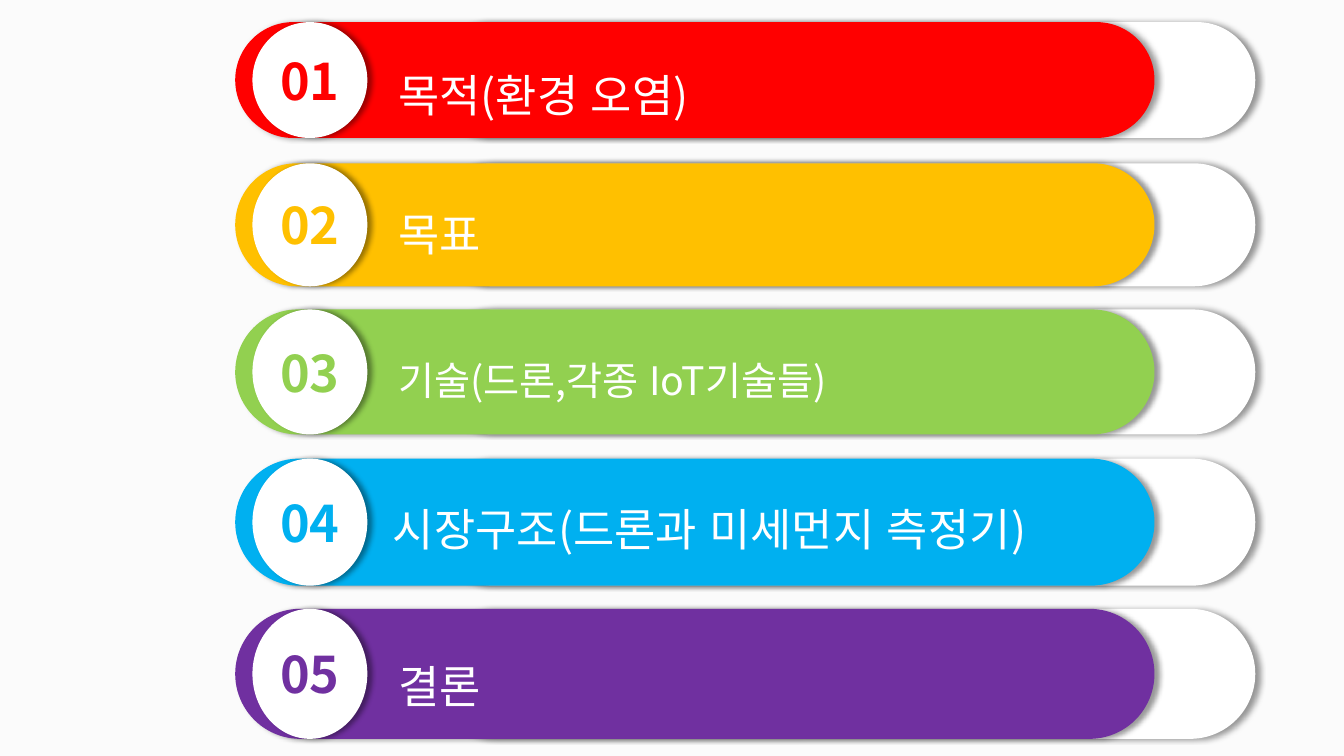
from dataclasses import dataclass

from lxml import etree
from pptx import Presentation
from pptx import util as u
from pptx.dml.color import RGBColor
from pptx.enum import shapes, text
from pptx.oxml import ns
from pptx.shapes.autoshape import Shape
from pptx.shapes.shapetree import GroupShapes

SLIDE_WIDTH = u.Inches(13.33)
SLIDE_HEIGHT = u.Inches(7.5)
FONT = "Noto Sans CJK KR"

BACKGROUND = RGBColor(0xFB, 0xFB, 0xFB)
WHITE = RGBColor(0xFF, 0xFF, 0xFF)
RED = RGBColor(0xFF, 0x00, 0x00)
AMBER = RGBColor(0xFF, 0xC0, 0x00)
GREEN = RGBColor(0x92, 0xD0, 0x50)
BLUE = RGBColor(0x00, 0xB0, 0xF0)
PURPLE = RGBColor(0x70, 0x30, 0xA0)


@dataclass(frozen=True)
class Span:
    start: float
    size: float


@dataclass(frozen=True)
class Chapter:
    topic: str
    color: RGBColor
    row: Span
    topic_column: Span
    topic_row: Span
    topic_size: int = 32


TRACK = Span(31.95, 61.45)
BAR = Span(17.5, 68.4)
BADGE = Span(18.78, 8.55)
SHORT_TOPIC = Span(28.88, 33.75)

CHAPTERS = [
    Chapter("목적(환경 오염)", RED, Span(2.93, 15.33), SHORT_TOPIC, Span(4.8, 10.67)),
    Chapter("목표", AMBER, Span(21.6, 16.27), SHORT_TOPIC, Span(23.07, 12.13)),
    Chapter("기술(드론,각종 IoT기술들)", GREEN, Span(40.93, 16.53),
            Span(28.88, 52.5), Span(43.33, 9.6), 28),
    Chapter("시장구조(드론과 미세먼지 측정기)", BLUE, Span(60.67, 16.8),
            Span(28.5, 54.3), Span(62.13, 12.13)),
    Chapter("결론", PURPLE, Span(80.53, 17.2), SHORT_TOPIC, Span(82.93, 12.13)),
]


def place(column: Span, row: Span) -> tuple[int, int, int, int]:
    return (
        int(SLIDE_WIDTH * column.start / 100),
        int(SLIDE_HEIGHT * row.start / 100),
        int(SLIDE_WIDTH * column.size / 100),
        int(SLIDE_HEIGHT * row.size / 100),
    )


def cast_shadow(shape: Shape) -> None:
    shape.shadow.inherit = False
    effects = shape.element.spPr.find(ns.qn("a:effectLst"))
    shadow = etree.SubElement(
        effects, ns.qn("a:outerShdw"), blurRad=str(u.Pt(4)), dist=str(u.Pt(3)),
        dir="0", algn="l", rotWithShape="0")
    black = etree.SubElement(shadow, ns.qn("a:srgbClr"), val="000000")
    etree.SubElement(black, ns.qn("a:alpha"), val="40000")


def add_plate(group: GroupShapes, preset: shapes.MSO_SHAPE, column: Span,
              row: Span, color: RGBColor) -> Shape:
    plate = group.add_shape(preset, *place(column, row))
    if preset == shapes.MSO_SHAPE.ROUNDED_RECTANGLE:
        plate.adjustments[0] = 0.5
    plate.fill.solid()
    plate.fill.fore_color.rgb = color
    plate.line.fill.background()
    cast_shadow(plate)
    return plate


def write(shape: Shape, words: str, *, size: int, color: RGBColor,
          align: text.PP_ALIGN, anchor: text.MSO_ANCHOR,
          bold: bool = False, line_spacing: float = 1.0) -> None:
    frame = shape.text_frame
    frame.word_wrap = True
    frame.vertical_anchor = anchor
    paragraph = frame.paragraphs[0]
    paragraph.alignment = align
    paragraph.line_spacing = line_spacing
    run = paragraph.add_run()
    run.text = words
    run.font.name = FONT
    run.font.size = u.Pt(size)
    run.font.bold = bold
    run.font.color.rgb = color
    run.font.language_id = None
    properties = run.font._element
    properties.set("lang", "ko-KR")
    etree.SubElement(properties, ns.qn("a:ea"), typeface=FONT)


def add_chapter(group: GroupShapes, number: int, chapter: Chapter) -> None:
    rounded = shapes.MSO_SHAPE.ROUNDED_RECTANGLE
    add_plate(group, rounded, TRACK, chapter.row, WHITE)
    add_plate(group, rounded, BAR, chapter.row, chapter.color)
    badge = add_plate(group, shapes.MSO_SHAPE.OVAL, BADGE, chapter.row, WHITE)
    write(badge, f"{number:02}", size=36, color=chapter.color, bold=True,
          align=text.PP_ALIGN.CENTER, anchor=text.MSO_ANCHOR.MIDDLE)
    topic = group.add_textbox(*place(chapter.topic_column, chapter.topic_row))
    topic.text_frame.auto_size = text.MSO_AUTO_SIZE.SHAPE_TO_FIT_TEXT
    write(topic, chapter.topic, size=chapter.topic_size, color=WHITE,
          align=text.PP_ALIGN.JUSTIFY, anchor=text.MSO_ANCHOR.TOP,
          line_spacing=1.5)


def main() -> None:
    deck = Presentation()
    deck.slide_width = SLIDE_WIDTH
    deck.slide_height = SLIDE_HEIGHT
    agenda = deck.slides.add_slide(deck.slide_layouts[6])
    agenda.background.fill.solid()
    agenda.background.fill.fore_color.rgb = BACKGROUND
    for number, chapter in enumerate(CHAPTERS, start=1):
        add_chapter(agenda.shapes.add_group_shape().shapes, number, chapter)
    deck.save("out.pptx")


if __name__ == "__main__":
    main()
